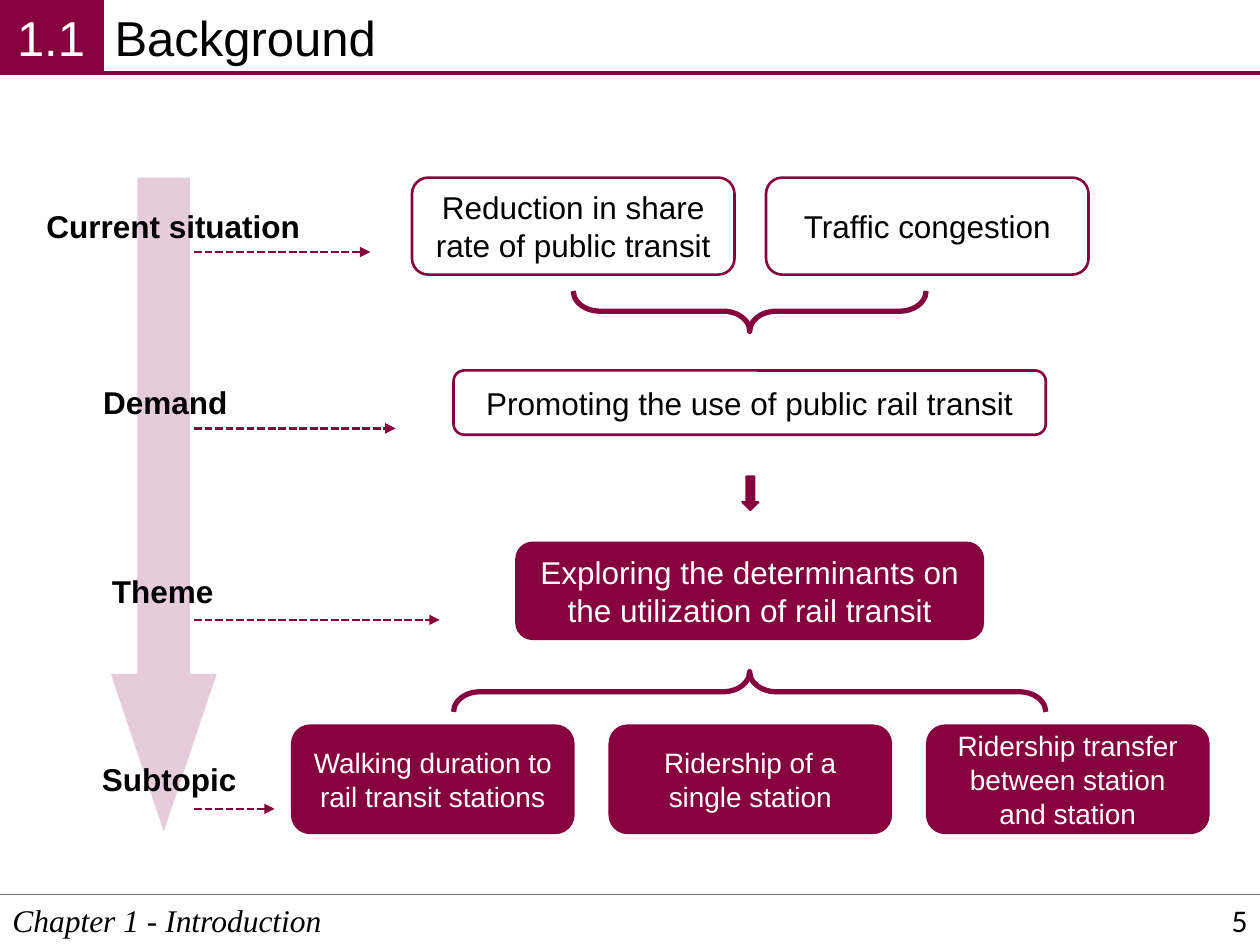
import dataclasses

import lxml.etree
import pptx
import pptx.dml.color
import pptx.enum.dml
import pptx.enum.shapes
import pptx.enum.text
import pptx.oxml.ns
import pptx.util

Inches = pptx.util.Inches
Pt = pptx.util.Pt
Shape = pptx.enum.shapes.MSO_SHAPE
Align = pptx.enum.text.PP_ALIGN
Anchor = pptx.enum.text.MSO_ANCHOR
AutoSize = pptx.enum.text.MSO_AUTO_SIZE
RGB = pptx.dml.color.RGBColor.from_string


@dataclasses.dataclass(frozen=True)
class Theme:
    accent: str = "85023E"
    rule: str = "767171"
    dark: str = "000000"
    light: str = "FFFFFF"
    heading_size: int = 28
    body_size: int = 18
    small_size: int = 16
    font: str = "Arial"
    footer_font: str = "Times New Roman"
    number_font: str = "Calibri"


def set_values(target, values):
    for name, value in values.items():
        setattr(target, name, value)


def add_element(parent, tag, **attributes):
    return lxml.etree.SubElement(parent, pptx.oxml.ns.qn(tag), attributes)


class SlideBuilder:
    def __init__(self, slide, theme):
        self.slide = slide
        self.theme = theme

    def fill_text(self, shape, text, font=None, frame=None, align=Align.LEFT):
        """Fill a shape with one paragraph; font and frame override the defaults."""
        text_frame = shape.text_frame
        set_values(text_frame, {"word_wrap": True, "vertical_anchor": Anchor.TOP,
                                **(frame or {})})
        paragraph = text_frame.paragraphs[0]
        paragraph.alignment = align
        run = paragraph.add_run()
        run.text = text
        values = {"name": self.theme.font, "size": self.theme.body_size,
                  "color": self.theme.dark, **(font or {})}
        run.font.color.rgb = RGB(values.pop("color"))
        values["size"] = Pt(values["size"])
        set_values(run.font, values)

    def title(self, text, box):
        title = self.slide.shapes.title
        set_values(title, dict(zip(("left", "top", "width", "height"), map(Inches, box))))
        self.fill_text(title, text, {"size": self.theme.heading_size},
                       {"auto_size": AutoSize.NONE})

    def text(self, text, box, font=None, frame=None, align=Align.LEFT):
        shape = self.slide.shapes.add_textbox(*map(Inches, box))
        self.fill_text(shape, text, font, frame, align)

    def shape(self, kind, box, fill=None, line_width=None, rotation=0,
              adjustments=(), alpha=None):
        shape = self.slide.shapes.add_shape(kind, *map(Inches, box))
        shape.shadow.inherit = False
        shape.rotation = rotation
        for index, value in enumerate(adjustments):
            shape.adjustments[index] = value
        if fill:
            shape.fill.solid()
            shape.fill.fore_color.rgb = RGB(fill)
        else:
            shape.fill.background()
        if alpha:
            color = shape._element.spPr.find(".//" + pptx.oxml.ns.qn("a:srgbClr"))
            add_element(color, "a:alpha", val=str(alpha * 1000))
        if line_width:
            shape.line.color.rgb = RGB(self.theme.accent)
            shape.line.width = Pt(line_width)
        else:
            shape.line.fill.background()
        return shape

    def card(self, text, box, filled=False, size=None):
        theme = self.theme
        shape = self.shape(Shape.ROUNDED_RECTANGLE, box,
                           theme.accent if filled else None, 1.5)
        font = {"size": size or theme.body_size,
                "color": theme.light if filled else theme.dark}
        self.fill_text(shape, text, font, {"vertical_anchor": Anchor.MIDDLE}, Align.CENTER)

    def brace(self, box, rotation):
        self.shape(Shape.RIGHT_BRACE, box, line_width=3, rotation=rotation,
                   adjustments=(0.66, 0.5))

    def line(self, left, right, top, width, color=None, arrow=False):
        """Draw a horizontal line; an arrow is dashed and has a head at its right end."""
        connector = self.slide.shapes.add_connector(
            pptx.enum.shapes.MSO_CONNECTOR.STRAIGHT,
            Inches(left), Inches(top), Inches(right), Inches(top))
        connector.line.color.rgb = RGB(color or self.theme.accent)
        connector.line.width = Pt(width)
        if arrow:
            connector.line.dash_style = pptx.enum.dml.MSO_LINE.SQUARE_DOT
            outline = connector._element.spPr.find(pptx.oxml.ns.qn("a:ln"))
            add_element(outline, "a:tailEnd", type="triangle")
        add_element(connector._element.spPr, "a:effectLst")


def add_frame(builder):
    theme = builder.theme
    builder.text("Chapter 1 - Introduction", (0, 7.1, 10, 0.4),
                 {"name": theme.footer_font, "italic": True})
    builder.line(0, 10, 7.1, 1, theme.rule)
    builder.title("Background", (0.81, 0.01, 9.19, 0.57))
    section = builder.shape(Shape.RECTANGLE, (0, 0, 0.81, 0.58), theme.accent, 2.25)
    margins = dict.fromkeys(
        ("margin_left", "margin_top", "margin_right", "margin_bottom"), Inches(0.06))
    builder.fill_text(section, "1.1", {"size": theme.heading_size, "color": theme.light},
                      {"vertical_anchor": Anchor.MIDDLE, **margins}, Align.CENTER)
    builder.line(0.81, 10, 0.58, 2.25)
    builder.text("5", (7.75, 7.1, 2.25, 0.4), {"name": theme.number_font},
                 {"vertical_anchor": Anchor.MIDDLE}, Align.RIGHT)


def add_stages(builder):
    stages = [  # label, left, top, width, arrow end, arrow top
        ("Current situation", 0.27, 1.59, 2.24, 2.94, 2),
        ("Demand", 0.72, 2.99, 1.2, 3.14, 3.4),
        ("Theme", 0.79, 4.49, 1.02, 3.49, 4.92),
        ("Subtopic", 0.71, 5.98, 1.28, 2.18, 6.42),
    ]
    for label, left, top, width, arrow_end, arrow_top in stages:
        builder.text(label, (left, top, width, 0.4), {"bold": True},
                     {"word_wrap": False, "auto_size": AutoSize.SHAPE_TO_FIT_TEXT})
        builder.line(1.54, arrow_end, arrow_top, 1.5, arrow=True)


def add_flow(builder):
    theme = builder.theme
    situations = ["Reduction in share rate of public transit", "Traffic congestion"]
    for index, text in enumerate(situations):
        builder.card(text, (3.27 + 2.81 * index, 1.41, 2.56, 0.77))
    builder.brace((5.79, 1.07, 0.32, 2.8), 90)
    builder.card("Promoting the use of public rail transit", (3.6, 2.94, 4.7, 0.51))
    builder.shape(Shape.RIGHT_ARROW, (5.82, 3.85, 0.27, 0.13), theme.accent, 1, 90)
    builder.card("Exploring the determinants on the utilization of rail transit",
                 (4.1, 4.31, 3.7, 0.76), filled=True)
    builder.brace((5.79, 3.14, 0.32, 4.7), 270)
    subtopics = ["Walking duration to rail transit stations",
                 "Ridership of a single station",
                 "Ridership transfer between station and station"]
    for index, text in enumerate(subtopics):
        builder.card(text, (2.32 + 2.52 * index, 5.76, 2.23, 0.85), True, theme.small_size)


def main():
    presentation = pptx.Presentation()
    set_values(presentation, {"slide_width": Inches(10), "slide_height": Inches(7.5)})
    title_only = presentation.slide_layouts[5]
    builder = SlideBuilder(presentation.slides.add_slide(title_only), Theme())
    builder.shape(Shape.DOWN_ARROW, (0.88, 1.41, 0.84, 5.19), builder.theme.accent,
                  adjustments=(0.5, 1.49), alpha=20)
    add_frame(builder)
    add_stages(builder)
    add_flow(builder)
    presentation.save("out.pptx")


if __name__ == "__main__":
    main()
